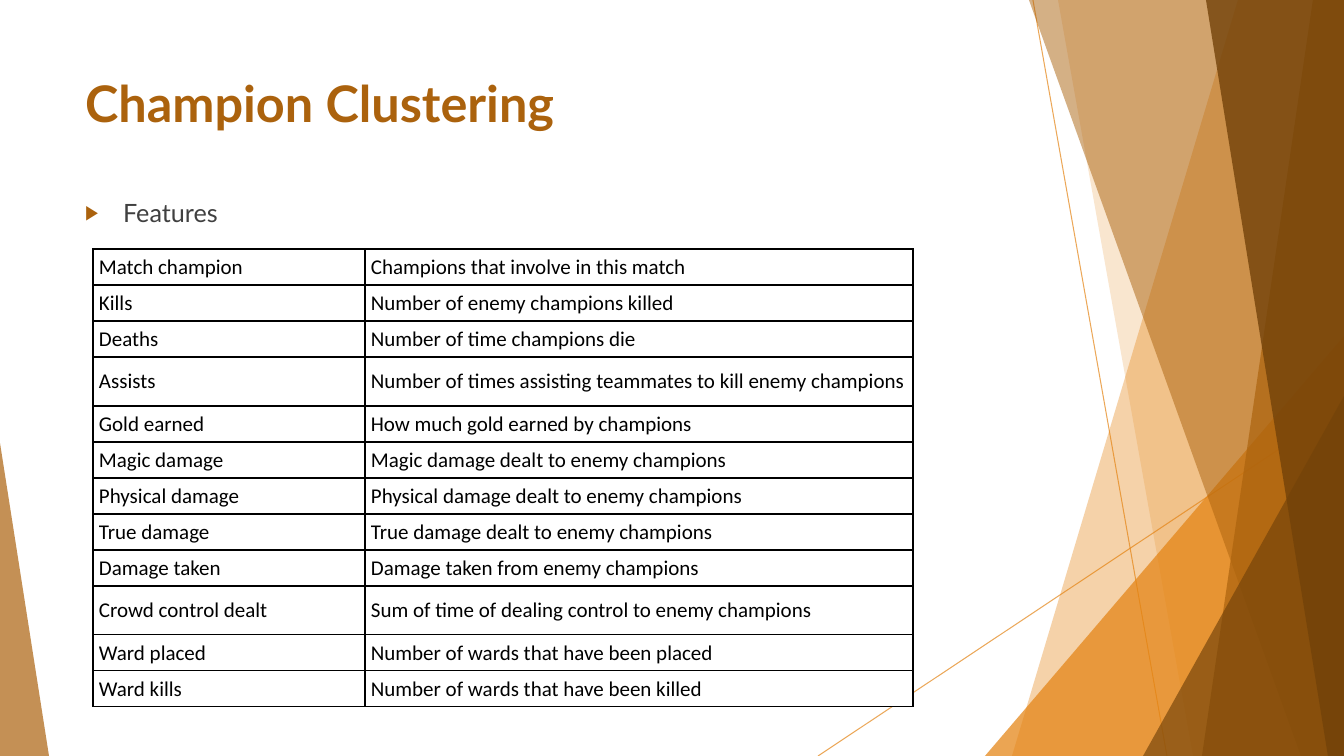
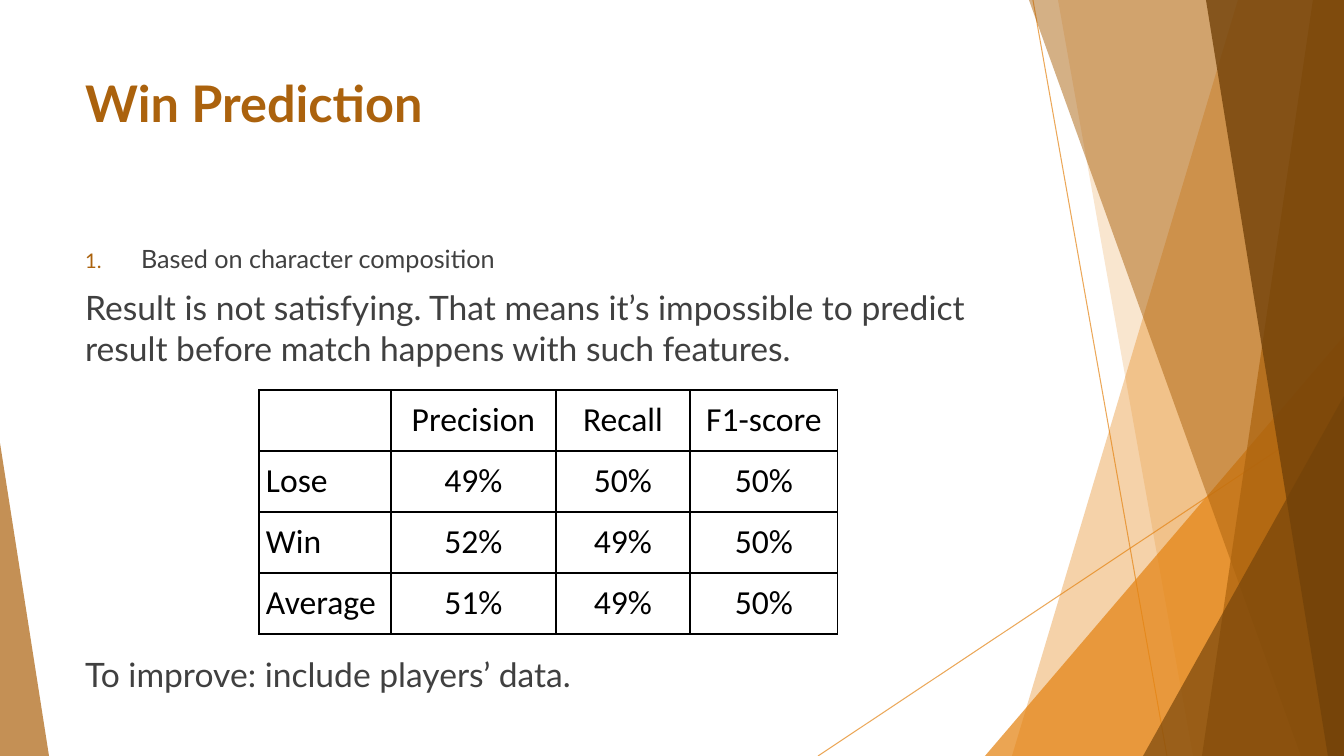
from dataclasses import dataclass

from pptx import Presentation
from pptx.dml.color import RGBColor
from pptx.enum.shapes import MSO_CONNECTOR, MSO_SHAPE
from pptx.enum.text import MSO_ANCHOR as Anchor, MSO_AUTO_SIZE as AutoSize, PP_ALIGN as Align
from pptx.oxml import parse_xml
from pptx.oxml.ns import nsdecls, qn
from pptx.util import Emu, Pt

EMU_PER_PX = 914400 / 100.8
WIDTH, HEIGHT = 1344, 756
TEXT_LEFT, TEXT_WIDTH = 75, 948


@dataclass(frozen=True)
class Theme:
    orange: str = "E48312"
    brown: str = "AB620D"
    dark_brown: str = "724209"
    text: str = "404040"
    black: str = "000000"
    white: str = "FFFFFF"
    text_font: str = "Lato"
    table_font: str = "Calibri"
    title_size: int = 36
    item_size: int = 18
    body_size: int = 24
    feature_size: int = 15
    score_size: int = 24
    paragraph_gap: int = 10
    hairline: float = 0.75
    border: int = 1


def px(length):
    return Emu(round(length * EMU_PER_PX))


def rgb(color):
    return RGBColor.from_string(color)


def assign(target, values):
    for name, value in values.items():
        setattr(target, name, value)


def xml(tag, inner="", attributes=""):
    return parse_xml(f"<a:{tag} {nsdecls('a')} {attributes}>{inner}</a:{tag}>")


def set_opacity(shape, percent):
    for color in shape.element.iter(qn("a:srgbClr")):
        color.append(xml("alpha", attributes=f'val="{percent * 1000}"'))


class Slides:
    def __init__(self, theme):
        self.theme = theme
        self.deck = Presentation()
        assign(self.deck, {"slide_width": px(WIDTH), "slide_height": px(HEIGHT)})
        self.page = None

    def add_page(self, title):
        self.page = self.deck.slides.add_slide(self.deck.slide_layouts[1])
        frame = self.place(self.page.shapes.title, 67, 145)
        self.add_text(frame.paragraphs[0], title, self.theme.title_size,
                      self.theme.brown, bold=True)

    def place(self, box, top, height):
        """Move a placeholder into the text column and return its text frame."""
        assign(box, {"left": px(TEXT_LEFT), "top": px(top),
                     "width": px(TEXT_WIDTH), "height": px(height)})
        assign(box.text_frame, {"auto_size": AutoSize.NONE, "word_wrap": True,
                                "vertical_anchor": Anchor.TOP})
        return box.text_frame

    def add_text(self, para, text, size, color, font=None, bold=False, align=Align.LEFT):
        para.alignment = align
        span = para.add_run()
        span.text = text
        assign(span.font, {"name": font or self.theme.text_font, "size": Pt(size),
                           "bold": bold})
        span.font.color.rgb = rgb(color)

    def body(self, top, height, paragraphs):
        """Fill the body from dicts with text, size and optional marker, indent, gap."""
        frame = self.place(self.page.placeholders[1], top, height)
        for index, item in enumerate(paragraphs):
            para = frame.add_paragraph() if index else frame.paragraphs[0]
            self.add_text(para, item["text"], item["size"], self.theme.text)
            para.space_before = Pt(item.get("gap", self.theme.paragraph_gap))
            self.mark(para, item.get("marker"), item.get("indent", 0))

    def mark(self, para, marker, indent):
        """Set the bullet or number, hanging by the indent."""
        properties = para._p.get_or_add_pPr()
        properties.set("marL", str(px(indent)))
        properties.set("indent", str(-px(indent)))
        if marker is None:
            properties.append(xml("buNone"))
            return
        properties.append(xml("buClr", f'<a:srgbClr val="{self.theme.brown}"/>'))
        properties.append(xml("buSzPct", attributes='val="80000"'))
        if marker == "1.":
            properties.append(xml("buAutoNum", attributes='type="arabicPeriod"'))
        else:
            properties.append(xml("buChar", attributes=f'char="{marker}"'))

    def table(self, left, top, widths, heights, rows, size, inset, value_align):
        """Draw a ruled grid; cells of the first column are justified."""
        frame = self.page.shapes.add_table(
            len(rows), len(widths), px(left), px(top), px(sum(widths)), px(sum(heights)))
        grid = frame.table
        assign(grid, {"first_row": False, "horz_banding": False})
        for column, width in zip(grid.columns, widths):
            column.width = px(width)
        for row, height, texts in zip(grid.rows, heights, rows):
            row.height = px(height)
            for index, (cell, text) in enumerate(zip(row.cells, texts)):
                assign(cell, {"margin_left": px(inset), "margin_right": px(inset),
                              "margin_top": 0, "margin_bottom": 0,
                              "vertical_anchor": Anchor.MIDDLE})
                cell.fill.solid()
                cell.fill.fore_color.rgb = rgb(self.theme.white)
                self.rule(cell)
                if text:
                    self.add_text(cell.text_frame.paragraphs[0], text, size,
                                  self.theme.black, self.theme.table_font,
                                  align=value_align if index else Align.JUSTIFY)

    def rule(self, cell):
        """Draw the four borders of a cell."""
        properties = cell._tc.get_or_add_tcPr()
        color = f'<a:solidFill><a:srgbClr val="{self.theme.black}"/></a:solidFill>'
        for position, side in enumerate(("lnL", "lnR", "lnT", "lnB")):
            properties.insert(position, xml(side, color, f'w="{Pt(self.theme.border)}"'))

    def paint(self, shape, color, opacity):
        shape.shadow.inherit = False
        shape.fill.solid()
        shape.fill.fore_color.rgb = rgb(color)
        shape.line.fill.background()
        set_opacity(shape, opacity)

    def hairline(self, shapes, *ends):
        line = shapes.add_connector(MSO_CONNECTOR.STRAIGHT, *map(px, ends))
        line.line.width = Pt(self.theme.hairline)
        line.line.color.rgb = rgb(self.theme.orange)
        line.element.spPr.append(xml("effectLst"))
        set_opacity(line, 70)

    def band(self, shapes, top_x, bottom_x, color, opacity):
        """Draw a slanted band that reaches the right edge of the slide."""
        outline = shapes.build_freeform(px(top_x), 0)
        outline.add_line_segments([(px(WIDTH), 0), (px(WIDTH), px(HEIGHT)),
                                   (px(bottom_x), px(HEIGHT))])
        self.paint(outline.convert_to_shape(), color, opacity)

    def wedge(self, shapes, left, top, width, apex, color, opacity):
        """Draw a triangle that stands on the bottom edge of the slide."""
        triangle = shapes.add_shape(MSO_SHAPE.ISOSCELES_TRIANGLE, px(left), px(top),
                                    px(width), px(HEIGHT - top))
        triangle.adjustments[0] = apex
        self.paint(triangle, color, opacity)

    def backdrop(self):
        """Draw the shared facets and move them to the slide master."""
        theme = self.theme
        facets = self.page.shapes.add_group_shape()
        shapes = facets.shapes
        self.hairline(shapes, 1033, 0, 1167, HEIGHT)
        self.hairline(shapes, WIDTH, 406, 818, HEIGHT)
        self.band(shapes, 1238, 1012, theme.orange, 36)
        self.band(shapes, 1058, 1193, theme.orange, 20)
        self.wedge(shapes, 985, 336, 359, 1, theme.orange, 72)
        self.band(shapes, 1029, 1301, theme.brown, 50)
        self.band(shapes, 1313, 1202, theme.brown, 70)
        self.band(shapes, 1206, 1328, theme.dark_brown, 80)
        self.wedge(shapes, 1143, 396, 201, 1, theme.dark_brown, 66)
        self.wedge(shapes, 0, 443, 49, 0, theme.brown, 70)
        for number, properties in enumerate(facets.element.iter(qn("p:cNvPr")), 100):
            properties.set("id", str(number))
        self.deck.slide_master.shapes.element.insert(2, facets.element)


FEATURES = [
    ("Match champion", "Champions that involve in this match"),
    ("Kills", "Number of enemy champions killed"),
    ("Deaths", "Number of time champions die"),
    ("Assists", "Number of times assisting teammates to kill enemy champions"),
    ("Gold earned", "How much gold earned by champions"),
    ("Magic damage", "Magic damage dealt to enemy champions"),
    ("Physical damage", "Physical damage dealt to enemy champions"),
    ("True damage", "True damage dealt to enemy champions"),
    ("Damage taken", "Damage taken from enemy champions"),
    ("Crowd control dealt", "Sum of time of dealing control to enemy champions"),
    ("Ward placed", "Number of wards that have been placed"),
    ("Ward kills", "Number of wards that have been killed"),
]
TALL_FEATURES = ("Assists", "Crowd control dealt")

SCORES = [
    ("", "Precision", "Recall", "F1-score"),
    ("Lose", "49%", "50%", "50%"),
    ("Win", "52%", "49%", "50%"),
    ("Average", "51%", "49%", "50%"),
]


def clustering(slides):
    slides.add_page("Champion Clustering")
    slides.body(192, 475, [{"text": "Features", "size": slides.theme.item_size,
                            "marker": "▶", "indent": 38}])
    heights = [49 if name in TALL_FEATURES else 36 for name, _ in FEATURES]
    slides.table(93, 249, [272, 548], heights, FEATURES,
                 slides.theme.feature_size, 6, Align.JUSTIFY)


def prediction(slides):
    theme = slides.theme
    slides.add_page("Win Prediction")
    slides.body(238, 483, [
        {"text": "Based on character composition", "size": theme.item_size,
         "marker": "1.", "indent": 56},
        {"text": "Result is not satisfying. That means it’s impossible to predict "
                 "result before match happens with such features.",
         "size": theme.body_size},
        {"text": "To improve: include players’ data.", "size": theme.body_size,
         "gap": 204},
    ])
    slides.table(259, 390, [132, 165, 134, 148], [61] * len(SCORES), SCORES,
                 theme.score_size, 7, Align.CENTER)


def main():
    slides = Slides(Theme())
    clustering(slides)
    slides.backdrop()
    prediction(slides)
    slides.deck.save("out.pptx")


if __name__ == "__main__":
    main()
